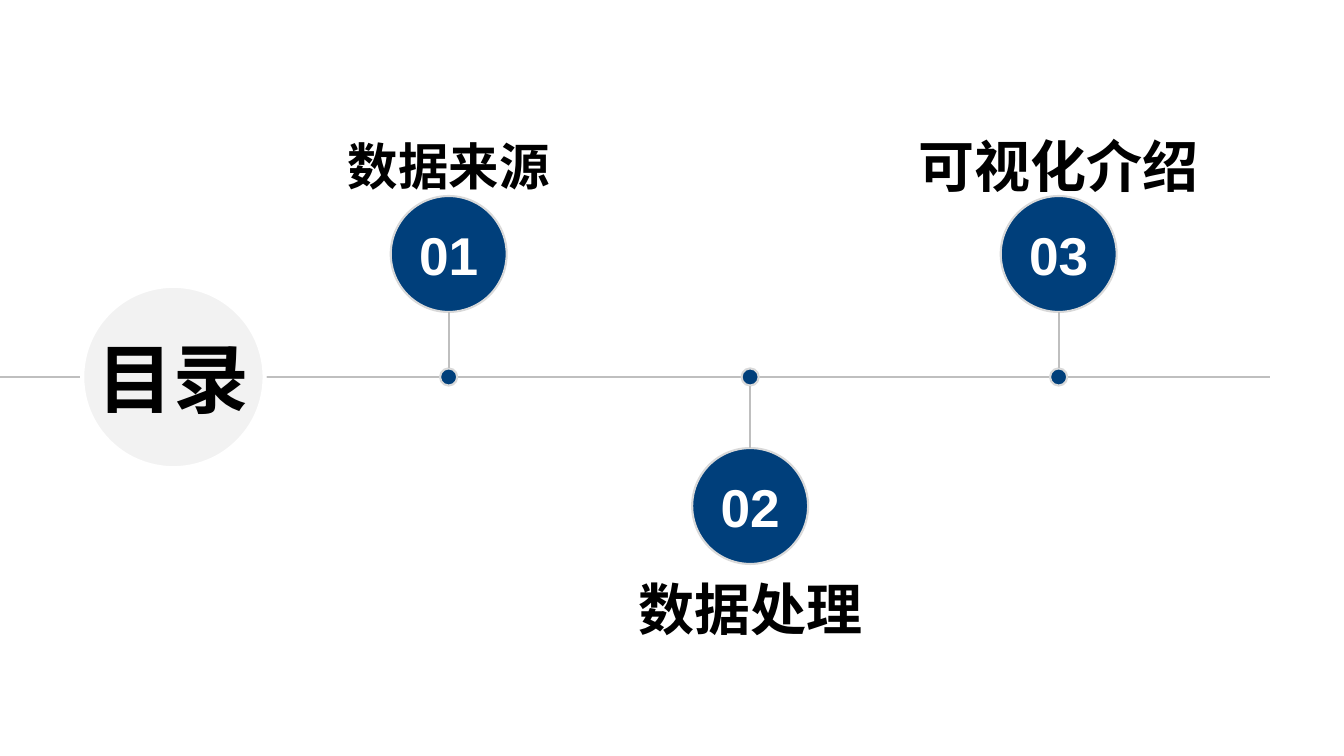
from dataclasses import dataclass

from lxml import etree
from pptx import Presentation
from pptx.dml.color import RGBColor
from pptx.enum.shapes import MSO_CONNECTOR, MSO_SHAPE
from pptx.enum.text import MSO_ANCHOR, PP_ALIGN
from pptx.oxml.ns import qn
from pptx.shapes.autoshape import Shape
from pptx.slide import Slide
from pptx.util import Inches, Pt

STRAIGHT = MSO_CONNECTOR.STRAIGHT
OVAL = MSO_SHAPE.OVAL
MIDDLE = MSO_ANCHOR.MIDDLE
CENTER = PP_ALIGN.CENTER

COLORS = {
    "navy": "003F7B",
    "line": "BFBFBF",
    "outline": "D9D9D9",
    "pale": "F2F2F2",
    "white": "FFFFFF",
    "black": "000000",
}

AXIS_Y = 3.74
AXIS_END = 12.6
DOT_SIZE = 0.17
BADGE_SIZE = 1.15
LABEL_HEIGHT = 0.43


@dataclass(frozen=True)
class Milestone:
    number: str
    label: str
    center_x: float
    badge_y: float
    label_y: float
    label_width: float
    label_size: int

    @property
    def direction(self) -> int:
        """Return -1 above the axis and 1 below it."""
        return -1 if self.badge_y < AXIS_Y else 1


MILESTONES = [
    Milestone("01", "数据来源", 4.45, 2.52, 1.61, 2.86, 36),
    Milestone("03", "可视化介绍", 10.5, 2.52, 1.61, 3.1, 40),
    Milestone("02", "数据处理", 7.44, 5.02, 6.0, 2.86, 40),
]


def rgb(name: str) -> RGBColor:
    return RGBColor.from_string(COLORS[name])


def write_text(shape: Shape, text: str, size: int, color: str,
               wrap: bool = True, line_spacing: float = 1.0) -> None:
    frame = shape.text_frame
    frame_format = {
        "word_wrap": wrap, "vertical_anchor": MIDDLE,
        "margin_left": 0, "margin_right": 0,
        "margin_top": 0, "margin_bottom": 0,
    }
    for name, value in frame_format.items():
        setattr(frame, name, value)
    paragraph = frame.paragraphs[0]
    paragraph.alignment = CENTER
    paragraph.line_spacing = line_spacing
    run = paragraph.add_run()
    run.text = text
    for name, value in {"name": "Arial", "size": Pt(size), "bold": True}.items():
        setattr(run.font, name, value)
    run.font.color.rgb = rgb(color)


def add_circle(slide: Slide, center_x: float, center_y: float, size: float,
               fill: str, outline: str, outline_width: float) -> Shape:
    shape = slide.shapes.add_shape(
        OVAL, Inches(center_x - size / 2), Inches(center_y - size / 2),
        Inches(size), Inches(size))
    shape.shadow.inherit = False
    shape.fill.solid()
    shape.fill.fore_color.rgb = rgb(fill)
    shape.line.color.rgb = rgb(outline)
    shape.line.width = Pt(outline_width)
    return shape


def add_line(slide: Slide, start: tuple[float, float],
             end: tuple[float, float], width: float) -> None:
    connector = slide.shapes.add_connector(
        STRAIGHT, *(Inches(value) for value in (*start, *end)))
    connector.line.color.rgb = rgb("line")
    connector.line.width = Pt(width)
    etree.SubElement(connector._element.spPr, qn("a:effectLst"))


def add_milestone(slide: Slide, item: Milestone) -> None:
    add_circle(slide, item.center_x, AXIS_Y, DOT_SIZE, "navy", "outline", 1.5)
    badge = add_circle(slide, item.center_x, item.badge_y, BADGE_SIZE,
                       "navy", "outline", 1.5)
    write_text(badge, item.number, 38, "white")

    label = slide.shapes.add_textbox(
        Inches(item.center_x - item.label_width / 2),
        Inches(item.label_y - LABEL_HEIGHT / 2),
        Inches(item.label_width), Inches(LABEL_HEIGHT))
    write_text(label, item.label, item.label_size, "black", line_spacing=1.1)

    # Stem from the dot's edge to the badge's edge
    add_line(slide,
             (item.center_x, AXIS_Y + item.direction * DOT_SIZE / 2),
             (item.center_x, item.badge_y - item.direction * BADGE_SIZE / 2),
             1.5)


def main() -> None:
    presentation = Presentation()
    presentation.slide_width = Inches(13.33)
    presentation.slide_height = Inches(7.5)
    slide = presentation.slides.add_slide(presentation.slide_layouts[6])

    # Timeline axis and title
    add_line(slide, (0, AXIS_Y), (AXIS_END, AXIS_Y), 1.75)
    title = add_circle(slide, 1.72, AXIS_Y, 1.81, "pale", "white", 3)
    write_text(title, "目录", 54, "black", wrap=False)

    # Agenda entries
    for item in MILESTONES:
        add_milestone(slide, item)

    presentation.save("out.pptx")


if __name__ == "__main__":
    main()
